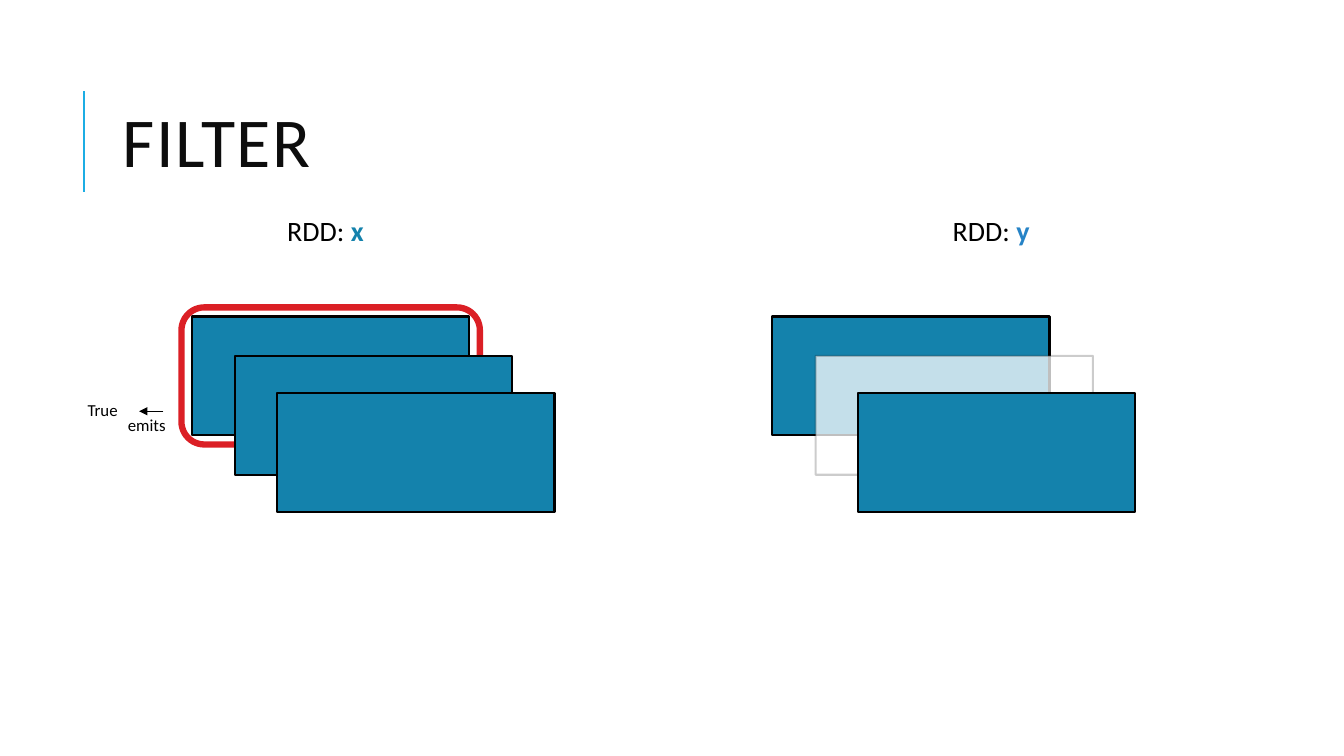
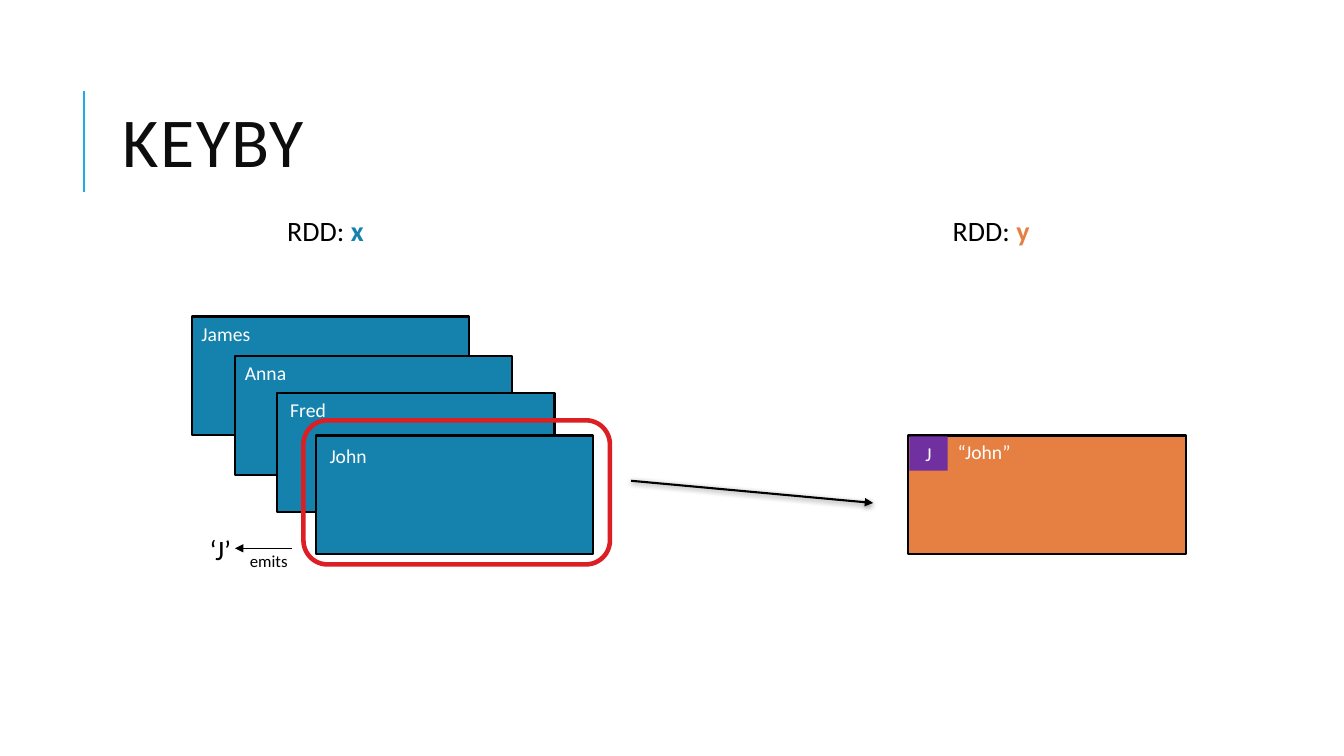
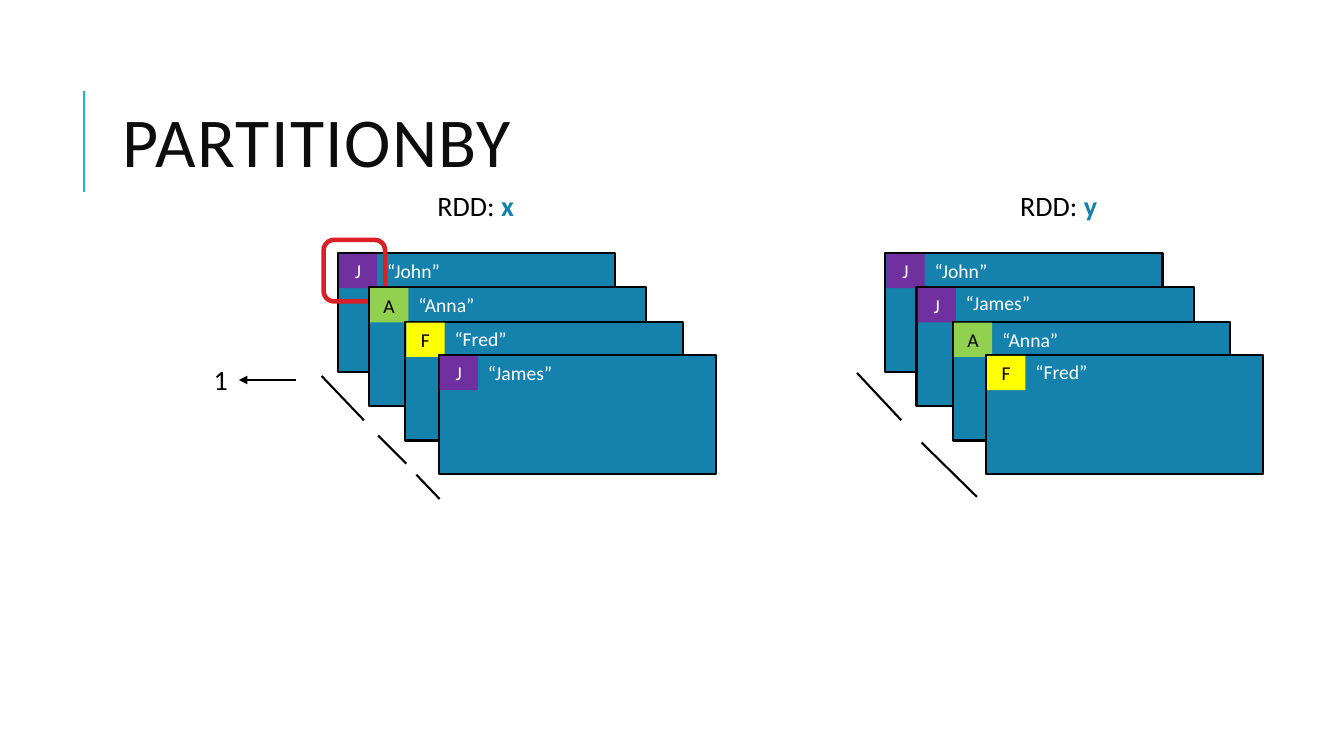
import pptx
import pptx.util
import pptx.dml.color
import pptx.enum.shapes
import pptx.enum.text
import pptx.oxml
import pptx.oxml.ns
import lxml.etree

Inches = pptx.util.Inches
Pt = pptx.util.Pt
SHAPES = pptx.enum.shapes.MSO_SHAPE

# Shared style
FONT = "Calibri"
BLACK, WHITE, INK = "000000", "FFFFFF", "0D0D0D"
BLUE, LIGHT_BLUE, SKY = "1482AC", "2683C6", "1CADE4"
ORANGE, RED = "E68042", "DB1F25"
PURPLE, GREEN, YELLOW = "7030A0", "92D050", "FFFF00"
CARD_SIZE = (2.75, 1.18)
KEY_SIZE = (0.38, 0.34)

# Content: key letter -> (fill, text colour)
KEYS = {"J": (PURPLE, WHITE), "A": (GREEN, BLACK), "F": (YELLOW, BLACK)}

# Stacks of cards, back to front
STACK = [(1.9, 3.14), (2.33, 3.53), (2.75, 3.9)]
FILTERED_SHIFT = 5.76

# Name, card corner, label offset, label width
NAMED_CARDS = [
    ("James", (1.9, 3.14), (0, 0), 0.71),
    ("Anna", (2.33, 3.53), (0, 0), 0.71),
    ("Fred", (2.75, 3.9), (0.03, 0), 0.62),
    ("John", (3.13, 4.32), (0.04, 0.04), 0.9),
]

# Key, name, label drop below the card top
PARTITION_STEPS = [(0, 0), (0.31, 0.34), (0.67, 0.68), (1, 1.01)]
PARTITION_TOP = 2.51
UNSORTED_LEFT, SORTED_LEFT = 3.35, 8.78
UNSORTED = [("J", "“John”", 0.01), ("A", "“Anna”", 0.01),
            ("F", "“Fred”", 0), ("J", "“James”", 0.01)]
SORTED = [("J", "“John”", 0.01), ("J", "“James”", -0.01),
          ("A", "“Anna”", 0.01), ("F", "“Fred”", 0)]
DIVIDERS = [
    ((3.19, 3.73), (3.61, 4.17)), ((3.75, 4.32), (4.03, 4.6)),
    ((4.13, 4.71), (4.36, 4.95)),
    ((8.5, 3.7), (8.94, 4.17)), ((9.14, 4.39), (9.69, 4.93)),
]


def rgb(value):
    return pptx.dml.color.RGBColor.from_string(value)


def add_child(parent, tag, **attributes):
    child = lxml.etree.SubElement(parent, pptx.oxml.ns.qn(tag))
    for name, value in attributes.items():
        child.set(name, str(value))
    return child


def set_opacity(color_format, percent):
    """Make a solid fill partly transparent."""
    color = color_format._xFill.find(pptx.oxml.ns.qn("a:srgbClr"))
    add_child(color, "a:alpha", val=percent * 1000)


def add_run(paragraph, text, size, color, bold=False):
    run = paragraph.add_run()
    run.text = text
    run.font.name = FONT
    run.font.size = Pt(size)
    run.font.color.rgb = rgb(color)
    run.font.bold = bold
    return run


def add_text(slide, left, top, width, height, runs):
    """Place one paragraph; each run is (text, size, colour[, bold])."""
    box = slide.shapes.add_textbox(
        Inches(left), Inches(top), Inches(width), Inches(height))
    box.text_frame.word_wrap = True
    for run in runs:
        add_run(box.text_frame.paragraphs[0], *run)
    return box


def add_box(slide, kind, left, top, size, fill=None, line=None, weight=1.5):
    shape = slide.shapes.add_shape(
        kind, Inches(left), Inches(top), Inches(size[0]), Inches(size[1]))
    shape.shadow.inherit = False
    if fill:
        shape.fill.solid()
        shape.fill.fore_color.rgb = rgb(fill)
    else:
        shape.fill.background()
    if line:
        shape.line.color.rgb = rgb(line)
        shape.line.width = Pt(weight)
    else:
        shape.line.fill.background()
    return shape


def add_card(slide, left, top, fill=BLUE):
    return add_box(slide, SHAPES.RECTANGLE, left, top, CARD_SIZE, fill, BLACK)


def add_frame(slide, left, top, width, height, weight=3.25):
    add_box(slide, SHAPES.ROUNDED_RECTANGLE, left, top, (width, height),
            line=RED, weight=weight)


def add_line(slide, start, end, color=BLACK, weight=1.5, arrow=False,
             shadow=False):
    line = slide.shapes.add_connector(
        pptx.enum.shapes.MSO_CONNECTOR.STRAIGHT,
        *(Inches(value) for value in start + end))
    line.line.color.rgb = rgb(color)
    line.line.width = Pt(weight)
    if arrow:
        add_child(line.line._get_or_add_ln(), "a:tailEnd", type="triangle")
    effects = add_child(line._element.spPr, "a:effectLst")
    if shadow:
        outer = add_child(effects, "a:outerShdw", blurRad=Pt(4), dist=Pt(1),
                          dir=90 * 60000, rotWithShape=0)
        shade = add_child(outer, "a:srgbClr", val=BLACK)
        add_child(shade, "a:alpha", val=50000)


def add_keyed_card(slide, left, top, key, name, label_drop, fill=BLUE):
    """Card with a key tile in its corner and the value beside it."""
    add_card(slide, left, top, fill)
    key_fill, key_color = KEYS[key]
    tile = add_box(slide, SHAPES.RECTANGLE, left + 0.01, top + 0.01, KEY_SIZE,
                   key_fill)
    paragraph = tile.text_frame.paragraphs[0]
    paragraph.alignment = pptx.enum.text.PP_ALIGN.CENTER
    add_run(paragraph, key, 14, key_color)
    add_text(slide, left + 0.39, top + label_drop, 1.91, 0.34,
             [(name, 14, WHITE)])


def add_rdd_label(slide, left, top, name, color):
    add_text(slide, left, top, 1.55, 0.44,
             [("RDD: ", 20, BLACK), (name, 20, color, True)])


def add_titled_slide(presentation, title):
    slide = presentation.slides.add_slide(presentation.slide_layouts[6])
    add_line(slide, (0.83, 1.9), (0.83, 0.9), SKY)
    box = add_text(slide, 1.12, 0.64, 10.63, 1.64, [(title, 50, INK)])
    box.text_frame.vertical_anchor = pptx.enum.text.MSO_ANCHOR.MIDDLE
    paragraph = box.text_frame.paragraphs[0]
    paragraph.line_spacing = 0.8
    paragraph.runs[0].font._element.set("spc", "100")
    return slide


def build_filter(presentation):
    slide = add_titled_slide(presentation, "FILTER")
    add_rdd_label(slide, 2.75, 2.07, "x", BLUE)
    add_rdd_label(slide, 9.35, 2.07, "y", LIGHT_BLUE)
    add_frame(slide, 1.8, 3.05, 2.96, 1.36, 4.5)
    for left, top in STACK:
        add_card(slide, left, top)
    # The middle card is filtered out
    for index, (left, top) in enumerate(STACK):
        dropped = index == 1
        card = add_card(slide, left + FILTERED_SHIFT, top,
                        WHITE if dropped else BLUE)
        if dropped:
            set_opacity(card.fill.fore_color, 75)
            set_opacity(card.line.fill.fore_color, 20)
    # Emitted value
    add_line(slide, (1.62, 4.08), (1.38, 4.08), weight=1, arrow=True)
    add_text(slide, 1.17, 4.07, 0.66, 0.3, [("emits", 12, BLACK)])
    add_text(slide, 0.77, 3.92, 0.66, 0.3, [("True", 12, BLACK)])


def build_key_by(presentation):
    slide = add_titled_slide(presentation, "KEYBY")
    add_rdd_label(slide, 2.75, 2.07, "x", BLUE)
    add_rdd_label(slide, 9.35, 2.07, "y", ORANGE)
    for name, (left, top), (indent, drop), width in NAMED_CARDS:
        add_card(slide, left, top)
        add_text(slide, left + indent, top + drop, width, 0.34,
                 [(name, 14, WHITE)])
    add_frame(slide, 3.01, 4.17, 3.04, 1.43)
    add_line(slide, (6.26, 4.77), (8.66, 4.99), arrow=True, shadow=True)
    add_keyed_card(slide, 9.01, 4.32, "J", "“John”", 0, ORANGE)
    # Emitted key
    add_text(slide, 2.38, 5.41, 0.66, 0.3, [("emits", 12, BLACK)])
    add_line(slide, (2.9, 5.44), (2.33, 5.44), weight=1, arrow=True)
    add_text(slide, 1.98, 5.23, 0.66, 0.44, [("‘J’", 20, BLACK)])


def build_partition_by(presentation):
    slide = add_titled_slide(presentation, "PARTITIONBY")
    add_rdd_label(slide, 4.24, 1.82, "x", BLUE)
    add_rdd_label(slide, 10.02, 1.82, "y", BLUE)
    for stack_left, cards in ((UNSORTED_LEFT, UNSORTED), (SORTED_LEFT, SORTED)):
        for index, (card, (right, down)) in enumerate(zip(cards, PARTITION_STEPS)):
            add_keyed_card(slide, stack_left + right, PARTITION_TOP + down, *card)
            # The frame lies between the first and second card
            if cards is UNSORTED and index == 0:
                add_frame(slide, 3.21, 2.38, 0.61, 0.61)
    for start, end in DIVIDERS:
        add_line(slide, start, end)
    # Emitted partition number
    add_line(slide, (2.94, 3.77), (2.37, 3.77), weight=1, arrow=True)
    add_text(slide, 2.02, 3.55, 0.66, 0.44, [("1", 20, BLACK)])


def main():
    presentation = pptx.Presentation()
    presentation.slide_width = Inches(13.33)
    presentation.slide_height = Inches(7.5)
    build_filter(presentation)
    build_key_by(presentation)
    build_partition_by(presentation)
    presentation.save("out.pptx")


if __name__ == "__main__":
    main()
